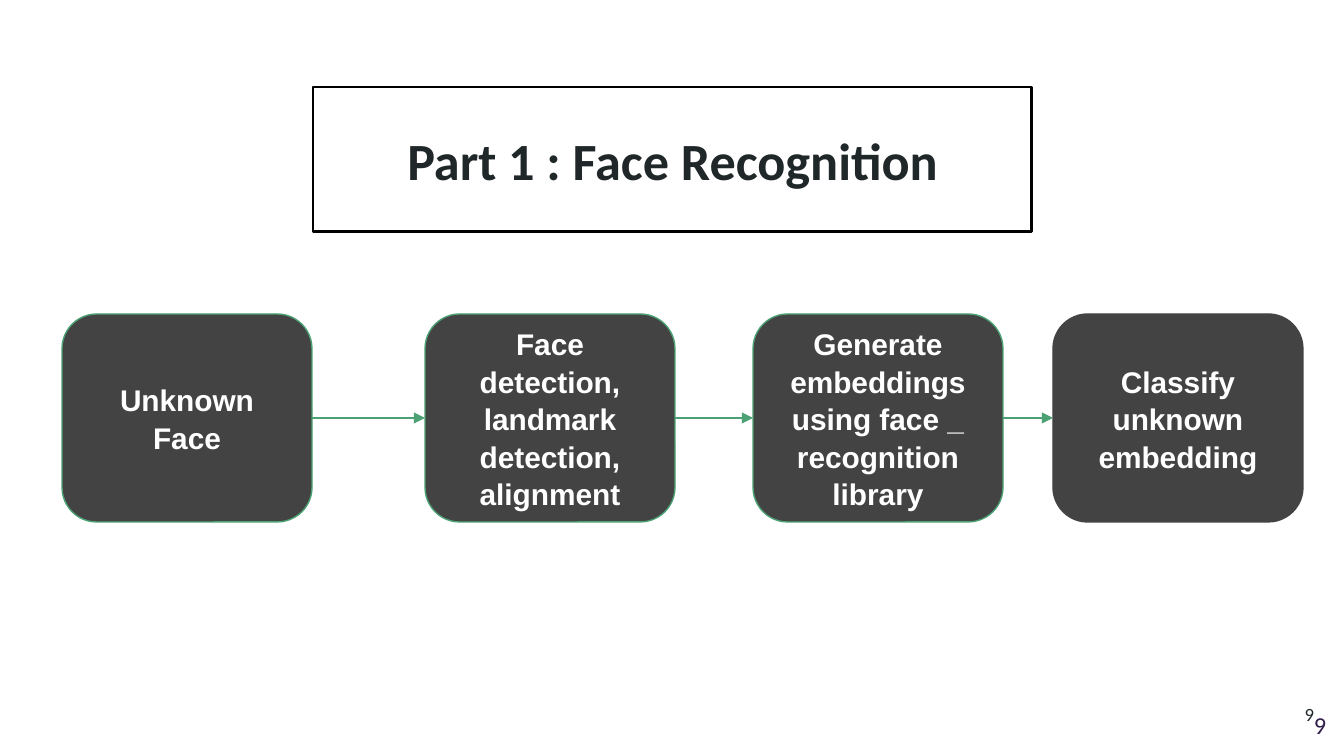
from itertools import pairwise

from lxml import etree
from pptx import Presentation
from pptx.dml.color import RGBColor
from pptx.enum.shapes import MSO_CONNECTOR as Link, MSO_SHAPE as Shape
from pptx.enum.text import MSO_ANCHOR as Anchor, PP_ALIGN as Align
from pptx.oxml.ns import qn
from pptx.util import Pt

PX = 914400 / 134.4
GREEN, GREY, INK = "4BA173", "434343", "202729"
STEP_TOP, STEP_WIDTH, STEP_HEIGHT = 314, 250, 208
STEPS = [
    (62, "Unknown Face", GREEN),
    (425, "Face detection, landmark detection, alignment", GREEN),
    (753, "Generate embeddings using face _ recognition library", GREEN),
    (1053, "Classify unknown embedding", GREY),
]


def px(*lengths):
    return [round(length * PX) for length in lengths]


def color(value):
    return RGBColor.from_string(value)


def set_line(shape, value, width):
    shape.line.color.rgb = color(value)
    shape.line.width = Pt(width)


def write(shape, text, ink, align, anchor, spacing=1.0, **font):
    frame = shape.text_frame
    frame.word_wrap = True
    frame.vertical_anchor = anchor
    for side in ("left", "top", "right", "bottom"):
        setattr(frame, f"margin_{side}", px(13)[0])
    para = frame.paragraphs[0]
    para.alignment = align
    para.line_spacing = spacing
    span = para.add_run()
    span.text = text
    for name, value in font.items():
        setattr(span.font, name, value)
    span.font.color.rgb = color(ink)


def add_box(page, kind, place, line, width, fill=None):
    box = page.shapes.add_shape(kind, *px(*place))
    box.shadow.inherit = False
    if fill:
        box.fill.solid()
        box.fill.fore_color.rgb = color(fill)
    else:
        box.fill.background()
    set_line(box, line, width)
    return box


def add_number(page, left, top, size, ink, anchor):
    box = page.shapes.add_textbox(*px(left, top, 81, 58))
    write(box, "9", ink, Align.RIGHT, anchor, name="Calibri", size=Pt(size))


def add_step(page, left, text, line):
    place = (left, STEP_TOP, STEP_WIDTH, STEP_HEIGHT)
    box = add_box(page, Shape.ROUNDED_RECTANGLE, place, line, 0.75, GREY)
    write(box, text, "FFFFFF", Align.CENTER, Anchor.MIDDLE, spacing=1.05,
          name="Arial", size=Pt(16), bold=True)
    return box


def add_arrow(page, start, end):
    arrow = page.shapes.add_connector(Link.STRAIGHT, 0, 0, 0, 0)
    arrow.begin_connect(start, 3)
    arrow.end_connect(end, 1)
    set_line(arrow, GREEN, 0.75)
    line = arrow.line._get_or_add_ln()
    etree.SubElement(line, qn("a:tailEnd"), type="triangle")
    etree.SubElement(arrow._element.spPr, qn("a:effectLst"))


def main():
    deck = Presentation()
    deck.slide_width, deck.slide_height = px(1344, 756)
    page = deck.slides.add_slide(deck.slide_layouts[6])

    # Title
    title = add_box(page, Shape.RECTANGLE, (313, 87, 719, 145), "000000", 1.5)
    write(title, "Part 1 : Face Recognition", INK, Align.CENTER, Anchor.MIDDLE,
          name="Calibri", size=Pt(28), bold=True)

    # Page numbers
    add_number(page, 1258, 697, 13, "301E4B", Anchor.TOP)
    add_number(page, 1246, 685, 10, INK, Anchor.MIDDLE)

    # Recognition steps and the arrows between them
    boxes = [add_step(page, *step) for step in STEPS]
    for start, end in pairwise(boxes):
        add_arrow(page, start, end)

    deck.save("out.pptx")


if __name__ == "__main__":
    main()
